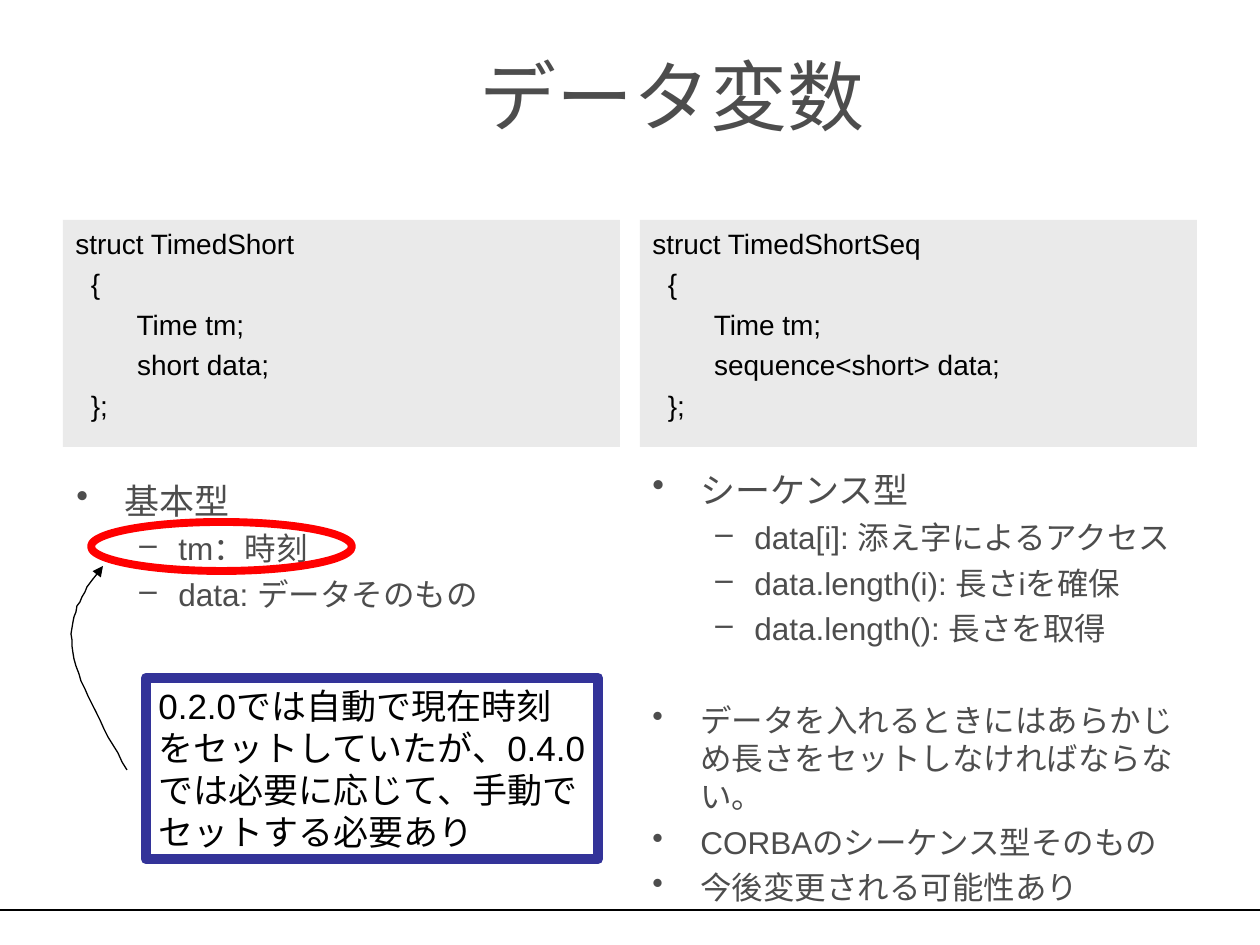
from dataclasses import dataclass

from lxml import etree
from pptx import Presentation
from pptx import util as u
from pptx.dml.color import RGBColor
from pptx.enum import shapes, text
from pptx.oxml import ns

SCALE = 914400 / 126  # EMU per px


@dataclass(frozen=True)
class Theme:
    face: str = "Arial"
    ink: str = "000000"
    gray: str = "4D4D4D"
    panel: str = "EAEAEA"
    red: str = "FF0000"
    navy: str = "333399"
    title: int = 44
    head: int = 20
    body: int = 18
    code: int = 16


def emu(px):
    return u.Emu(round(px * SCALE))


def rgb(code):
    return RGBColor.from_string(code)


def sub(node, tag, **attrs):
    return etree.SubElement(node, ns.qn(tag), **attrs)


class Deck:
    def __init__(self, theme):
        self.theme = theme
        self.prs = Presentation()
        self.prs.slide_width, self.prs.slide_height = emu(1260), emu(945)
        self.slide = self.prs.slides.add_slide(self.prs.slide_layouts[6])

    def style(self, para, size, color):
        for run in para.runs:
            run.font.size = u.Pt(size)
            run.font.name = self.theme.face
            run.font.color.rgb = rgb(color)

    def label(self, box, words, size, color):
        """Text box with one paragraph per line; returns its frame."""
        frame = self.slide.shapes.add_textbox(*map(emu, box)).text_frame
        self.fill(frame, words, size, color)
        return frame

    def fill(self, frame, words, size, color, gap=0):
        frame.word_wrap = True
        frame.text = words
        for i, para in enumerate(frame.paragraphs):
            para.alignment = text.PP_ALIGN.LEFT
            if i and gap:
                para.space_before = u.Pt(gap)
            self.style(para, size, color)

    def shape(self, kind, box, fill=None, line=None, width=0):
        item = self.slide.shapes.add_shape(kind, *map(emu, box))
        self.paint(item, fill, line, width)
        return item

    def paint(self, item, fill, line, width):
        item.shadow.inherit = False
        if fill:
            item.fill.solid()
            item.fill.fore_color.rgb = rgb(fill)
        else:
            item.fill.background()
        if line:
            item.line.color.rgb = rgb(line)
            item.line.width = u.Pt(width)
        else:
            item.line.fill.background()

    def panel(self, box, words):
        item = self.shape(shapes.MSO_SHAPE.RECTANGLE, box, self.theme.panel)
        item.text_frame.vertical_anchor = text.MSO_ANCHOR.TOP
        self.fill(item.text_frame, words, self.theme.code, self.theme.ink, 4)

    def list(self, box, rows):
        """Rows are (level, size, space before, words)."""
        frame = self.label(box, "\n".join(row[3] for row in rows),
                           self.theme.body, self.theme.gray)
        for para, (level, size, gap, _) in zip(frame.paragraphs, rows):
            left, hang, mark = ((48, 48, "•"), (102, 39, "–"))[level]
            para.level = level
            props = para._p.get_or_add_pPr()
            props.set("marL", str(emu(left)))
            props.set("indent", str(-emu(hang)))
            sub(sub(props, "a:buClr"), "a:srgbClr", val=self.theme.gray)
            sub(props, "a:buChar", char=mark)
            if gap:
                para.space_before = u.Pt(gap)
            self.style(para, size, self.theme.gray)

    def rule(self, start, end):
        line = self.slide.shapes.add_connector(
            shapes.MSO_CONNECTOR.STRAIGHT, *map(emu, start + end))
        line.line.color.rgb = rgb(self.theme.ink)
        line.line.width = u.Pt(0.75)
        sub(line._element.spPr, "a:effectLst")

    def curve(self, start, *parts, steps=16):
        """Cubic curve through the parts, with an arrowhead at its start."""
        dots, last = [], start
        for part in parts:
            knots = (last,) + part
            for n in range(1, steps + 1):
                t = n / steps
                mix = ((1 - t) ** 3, 3 * t * (1 - t) ** 2,
                       3 * t * t * (1 - t), t ** 3)
                dots.append(tuple(sum(m * k[axis] for m, k in zip(mix, knots))
                                  for axis in (0, 1)))
            last = part[-1]
        pen = self.slide.shapes.build_freeform(*start, scale=SCALE)
        pen.add_line_segments(dots, close=False)
        item = pen.convert_to_shape()
        self.paint(item, None, self.theme.ink, 0.75)
        sub(item.line._get_or_add_ln(), "a:headEnd", type="triangle")


def main():
    look = Theme()
    deck = Deck(look)

    # Footer rule and title
    deck.rule((0, 910), (1260, 910))
    title = deck.label((105, 35, 1134, 120), "データ変数", look.title, look.gray)
    title.vertical_anchor = text.MSO_ANCHOR.MIDDLE
    title.paragraphs[0].alignment = text.PP_ALIGN.CENTER

    # Code panels
    code = "struct {}\n  {{\n        Time tm;\n        {} data;\n  }};"
    for left, name, kind in ((63, "TimedShort", "short"),
                             (640, "TimedShortSeq", "sequence<short>")):
        deck.panel((left, 220, 557, 227), code.format(name, kind))

    # Bullet lists
    deck.list((64, 473, 557, 227), [
        (0, look.head, 0, "基本型"),
        (1, look.body, 4.5, "tm：時刻"),
        (1, look.body, 4.5, "data: データそのもの"),
    ])
    deck.list((640, 462, 557, 417), [
        (0, look.head, 0, "シーケンス型"),
        (1, look.body, 4.5, "data[i]: 添え字によるアクセス"),
        (1, look.body, 4.5, "data.length(i): 長さiを確保"),
        (1, look.body, 4.5, "data.length(): 長さを取得"),
        (0, look.body, 31, "データを入れるときにはあらかじめ長さをセットしなければならない。"),
        (0, look.body, 4.5, "CORBAのシーケンス型そのもの"),
        (0, look.body, 4.5, "今後変更される可能性あり"),
    ])

    # Ring, arrow and note
    deck.shape(shapes.MSO_SHAPE.OVAL, (91, 522, 261, 49), line=look.red, width=4.5)
    deck.curve((103, 566), ((86, 588), (68, 612), (72, 646)),
               ((76, 680), (102, 726), (127, 770)))
    note = deck.shape(shapes.MSO_SHAPE.RECTANGLE, (146, 678, 452, 181),
                      line=look.navy, width=6)
    note.text_frame.vertical_anchor = text.MSO_ANCHOR.TOP
    deck.fill(note.text_frame,
              "0.2.0では自動で現在時刻をセットしていたが、"
              "0.4.0では必要に応じて、手動でセットする必要あり",
              look.head, look.ink)

    deck.prs.save("out.pptx")


if __name__ == "__main__":
    main()
